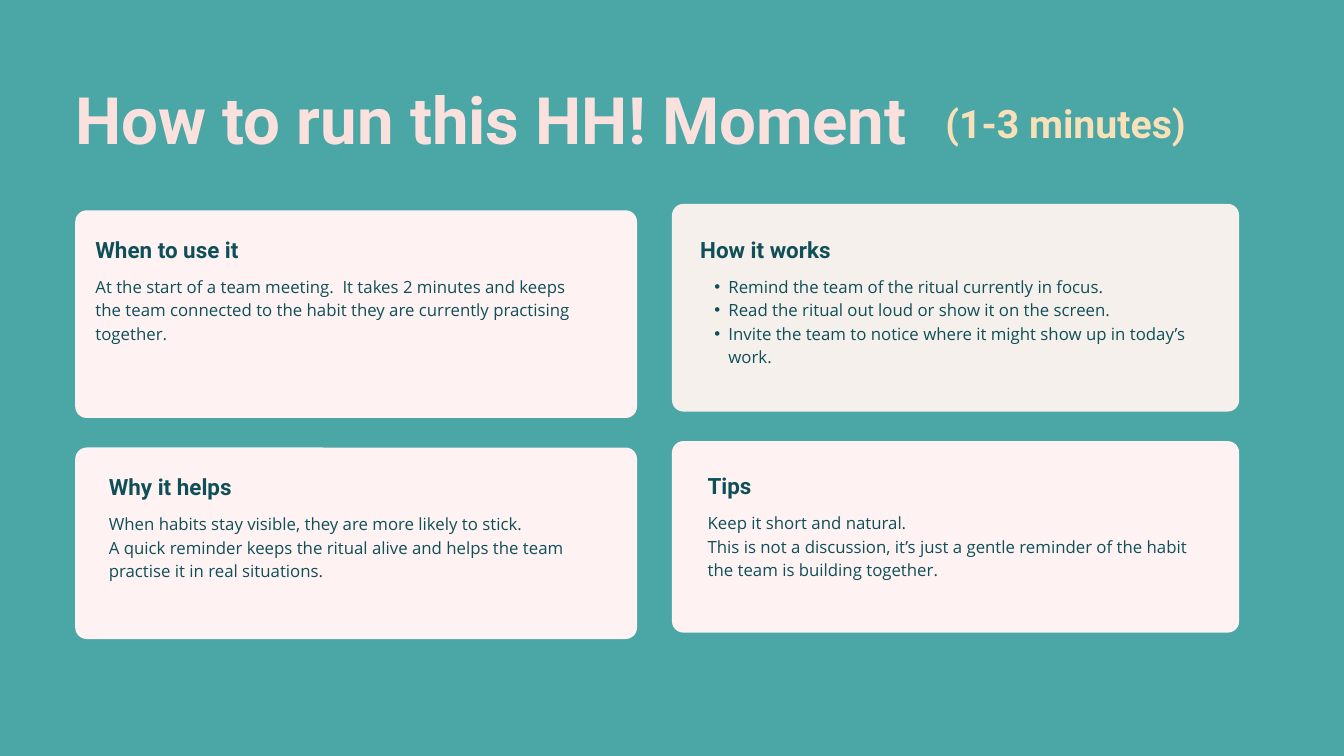
from pptx import Presentation
from pptx.dml.color import RGBColor
from pptx.enum.shapes import MSO_SHAPE as Shape
from pptx.enum.text import MSO_AUTO_SIZE as AutoSize
from pptx.oxml.ns import qn
from pptx.util import Inches, Pt
from lxml.etree import SubElement

SLIDE_W, SLIDE_H = Inches(20), Inches(11.25)
TEAL, INK, ROSE, SAND = "4BA6A6", "0F4F58", "FEF3F2", "F5F0EB"
BLUSH, CREAM = "FBE1DE", "F8E1B8"
CORNER = Inches(0.17)
BODY_DROP = 5.51
LEFT, RIGHT = (5.6, 41.8), (50, 42.2)
UPPER, LOWER = (27.82, 27.47), (59.2, 25.33)
RIGHT_LIFT = 0.85


def across(share):
    return round(SLIDE_W * share / 100)


def down(share):
    return round(SLIDE_H * share / 100)


def place(box):
    left, top, width, height = box
    return across(left), down(top), across(width), down(height)


def color(hex_code):
    return RGBColor.from_string(hex_code)


def add_bullet(paragraph):
    props = paragraph._p.get_or_add_pPr()
    props.set("lvl", "1")
    props.set("marL", str(Inches(0.42)))
    props.set("indent", str(-Inches(0.21)))
    SubElement(props, qn("a:buFont"), typeface="Arial")
    SubElement(props, qn("a:buChar"), char="•")


def add_text(slide, box, lines, font, size, leading, ink, bold=False, bulleted=False):
    frame = slide.shapes.add_textbox(*place(box)).text_frame
    frame.margin_left = frame.margin_top = frame.margin_right = frame.margin_bottom = 0
    frame.word_wrap = True
    frame.auto_size = AutoSize.SHAPE_TO_FIT_TEXT
    for index, line in enumerate(lines):
        paragraph = frame.add_paragraph() if index else frame.paragraphs[0]
        if bulleted:
            add_bullet(paragraph)
        paragraph.line_spacing = Pt(leading)
        run = paragraph.add_run()
        run.text = line
        run.font.name = font
        run.font.size = Pt(size)
        run.font.bold = bold
        run.font.color.rgb = color(ink)


def add_header(slide, box):
    left, top, _, height = box
    add_text(slide, (left, top, 65.5, height), ["How to run this HH! Moment"],
             "Roboto", 70, 98, BLUSH, bold=True)
    add_text(slide, (left + 64.75, top + 3.38, 24, 6.93), ["(1-3 minutes)"],
             "Roboto", 42, 58.8, CREAM, bold=True)


def add_card(slide, box, fill, inset, heading, lines, body_width=36.9, bulleted=False):
    panel = slide.shapes.add_shape(Shape.ROUNDED_RECTANGLE, *place(box))
    panel.adjustments[0] = CORNER / min(panel.width, panel.height)
    panel.shadow.inherit = False
    panel.fill.solid()
    panel.fill.fore_color.rgb = color(fill)
    panel.line.fill.background()

    left, top = box[0] + inset[0], box[1] + inset[1]
    add_text(slide, (left, top, 12.8, 3.91), [heading],
             "Roboto", 24, 33.6, INK, bold=True)
    add_text(slide, (left, top + BODY_DROP, body_width, 12.09), lines,
             "Open Sans", 18, 25.2, INK, bulleted=bulleted)


def grid_box(column, row):
    lift = RIGHT_LIFT if column is RIGHT else 0
    return column[0], row[0] - lift, column[1], row[1]


def main():
    deck = Presentation()
    deck.slide_width, deck.slide_height = SLIDE_W, SLIDE_H
    slide = deck.slides.add_slide(deck.slide_layouts[6])
    slide.background.fill.solid()
    slide.background.fill.fore_color.rgb = color(TEAL)

    add_header(slide, (LEFT[0], 8.71, 88.8, 11.64))
    add_card(slide, grid_box(LEFT, UPPER), ROSE, (1.5, 2.76), "When to use it", [
        "At the start of a team meeting.  It takes 2 minutes and keeps the team "
        "connected to the habit they are currently practising together.",
    ])
    add_card(slide, grid_box(RIGHT, UPPER), SAND, (2.1, 3.61), "How it works", [
        "Remind the team of the ritual currently in focus.",
        "Read the ritual out loud or show it on the screen.",
        "Invite the team to notice where it might show up in today’s work.",
    ], body_width=39.55, bulleted=True)
    add_card(slide, grid_box(LEFT, LOWER), ROSE, (2.5, 2.84), "Why it helps", [
        "When habits stay visible, they are more likely to stick.",
        "A quick reminder keeps the ritual alive and helps the team practise it "
        "in real situations.",
    ])
    add_card(slide, grid_box(RIGHT, LOWER), ROSE, (2.65, 3.52), "Tips", [
        "Keep it short and natural.",
        "This is not a discussion, it’s just a gentle reminder of the habit "
        "the team is building together.",
    ])
    deck.save("out.pptx")


if __name__ == "__main__":
    main()
